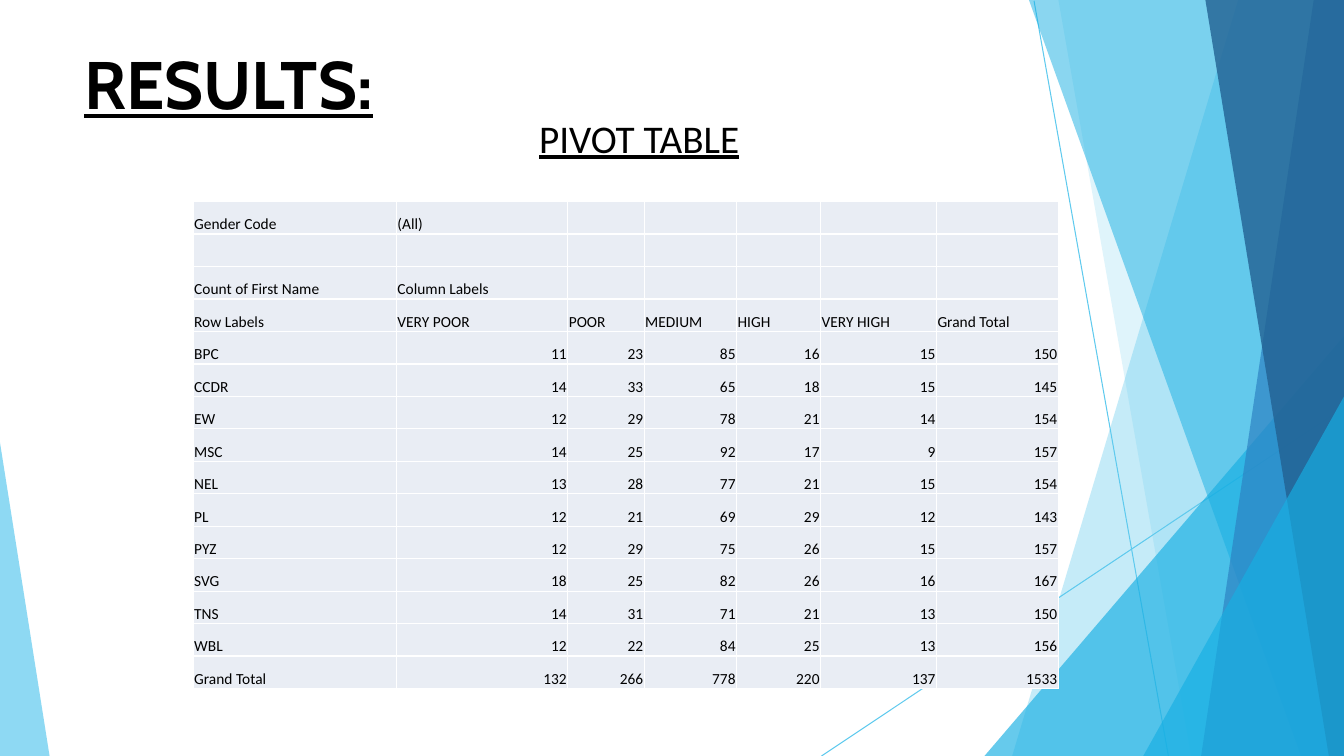
from dataclasses import dataclass

from lxml.etree import SubElement
from pptx import Presentation
from pptx.dml.color import RGBColor
from pptx.enum.shapes import MSO_CONNECTOR as Connector
from pptx.enum.text import MSO_ANCHOR as Anchor, MSO_AUTO_SIZE as AutoSize, PP_ALIGN as Align
from pptx.oxml.ns import qn
from pptx.util import Inches, Pt

# Grid: 160 columns by 90 rows of square units
COLUMNS, ROWS = 160, 90
UNIT = Inches(1) // 12

COLORS = {
    "text": "000000",
    "cell": "E9EDF4",
    "border": "FFFFFF",
    "sky": "5FCAEE",
    "cyan": "17AFE3",
    "blue": "2D83C3",
    "navy": "226192",
}
BODY_FONT, TITLE_FONT = "Calibri", "Cabin"

Point = tuple[float, float]


@dataclass(frozen=True)
class Wing:
    points: tuple[Point, ...]
    color: str
    opacity: int


@dataclass(frozen=True)
class Box:
    left: float
    top: float
    width: float
    height: float

    def emu(self) -> tuple[int, ...]:
        return tuple(grid(n) for n in (self.left, self.top, self.width, self.height))


def right_band(top: float, bottom: float, color: str, opacity: int) -> Wing:
    """Full-height band from a slanted left edge to the right side of the slide."""
    return Wing(((COLUMNS, 0), (top, 0), (bottom, ROWS), (COLUMNS, ROWS)), color, opacity)


def right_corner(top: float, left: float, color: str, opacity: int) -> Wing:
    """Triangle in the lower right corner."""
    return Wing(((COLUMNS, top), (left, ROWS), (COLUMNS, ROWS)), color, opacity)


RAYS = (((123.1, 0.1), (139.1, ROWS)), ((COLUMNS, 48.5), (97.8, ROWS)))
WINGS = (
    right_band(147.4, 120.5, "sky", 36),
    right_band(126, 141.8, "sky", 20),
    right_corner(40, 117.2, "cyan", 66),
    right_band(122.5, 154.9, "cyan", 50),
    right_band(156.4, 143, "blue", 70),
    right_band(143.5, 158.2, "navy", 80),
    right_corner(47.2, 136.1, "cyan", 66),
    Wing(((0, 52.7), (0, ROWS), (5.9, ROWS)), "sky", 70),
)

TITLE_BOX = Box(10, 5, 39, 10)
CAPTION_BOX = Box(63, 13, 26.5, 6.8)
TABLE_BOX = Box(23, 24, 103, 58)
COLUMN_WIDTHS = (24.2, 20.4, 9.1, 11, 10, 13.8, 14.5)

PIVOT = (
    ("Gender Code", "(All)"),
    (),
    ("Count of First Name", "Column Labels"),
    ("Row Labels", "VERY POOR", "POOR", "MEDIUM", "HIGH", "VERY HIGH", "Grand Total"),
    ("BPC", 11, 23, 85, 16, 15, 150),
    ("CCDR", 14, 33, 65, 18, 15, 145),
    ("EW", 12, 29, 78, 21, 14, 154),
    ("MSC", 14, 25, 92, 17, 9, 157),
    ("NEL", 13, 28, 77, 21, 15, 154),
    ("PL", 12, 21, 69, 29, 12, 143),
    ("PYZ", 12, 29, 75, 26, 15, 157),
    ("SVG", 18, 25, 82, 26, 16, 167),
    ("TNS", 14, 31, 71, 21, 13, 150),
    ("WBL", 12, 22, 84, 25, 13, 156),
    ("Grand Total", 132, 266, 778, 220, 137, 1533),
)


def grid(units: float) -> int:
    return round(units * UNIT)


def rgb(name: str) -> RGBColor:
    return RGBColor.from_string(COLORS[name])


def style_font(paragraph, name: str, size: float, bold: bool = False, underline: bool = False) -> None:
    font = paragraph.font
    font.name, font.size = name, Pt(size)
    font.bold, font.underline = bold, underline
    font.color.rgb = rgb("text")


def draw_ray(slide, start: Point, end: Point) -> None:
    ends = [grid(n) for n in start + end]
    ray = slide.shapes.add_connector(Connector.STRAIGHT, *ends)
    ray.line.color.rgb = rgb("sky")
    ray.line.width = Pt(0.75)
    SubElement(ray._element.spPr, qn("a:effectLst"))


def draw_wing(slide, wing: Wing) -> None:
    first, *others = [(grid(x), grid(y)) for x, y in wing.points]
    builder = slide.shapes.build_freeform(*first)
    builder.add_line_segments(others, close=True)
    shape = builder.convert_to_shape()
    shape.shadow.inherit = False
    shape.line.fill.background()
    shape.fill.solid()
    shape.fill.fore_color.rgb = rgb(wing.color)
    color = shape._element.spPr.find(qn("a:solidFill"))[0]
    SubElement(color, qn("a:alpha"), val=str(wing.opacity * 1000))


def draw_title(slide) -> None:
    title = slide.shapes.title
    title.left, title.top, title.width, title.height = TITLE_BOX.emu()
    frame = title.text_frame
    frame.text = "RESULTS:"
    frame.margin_left = frame.margin_right = frame.margin_top = frame.margin_bottom = 0
    frame.vertical_anchor = Anchor.TOP
    frame.auto_size = AutoSize.SHAPE_TO_FIT_TEXT
    paragraph = frame.paragraphs[0]
    paragraph.alignment = Align.LEFT
    style_font(paragraph, TITLE_FONT, 48, bold=True, underline=True)


def draw_caption(slide) -> None:
    frame = slide.shapes.add_textbox(*CAPTION_BOX.emu()).text_frame
    frame.text = "PIVOT TABLE"
    frame.word_wrap = False
    frame.auto_size = AutoSize.SHAPE_TO_FIT_TEXT
    style_font(frame.paragraphs[0], BODY_FONT, 28, underline=True)


def fill_cell(cell, value: str | int) -> None:
    cell.text = str(value)
    cell.vertical_anchor = Anchor.BOTTOM
    cell.margin_left = cell.margin_right = cell.margin_top = Inches(0.01)
    cell.margin_bottom = 0
    paragraph = cell.text_frame.paragraphs[0]
    paragraph.alignment = Align.RIGHT if isinstance(value, int) else Align.LEFT
    style_font(paragraph, BODY_FONT, 11)
    # Borders come before the fill in the cell properties
    properties = cell._tc.get_or_add_tcPr()
    for side in ("a:lnL", "a:lnR", "a:lnT", "a:lnB"):
        border = SubElement(properties, qn(side), w=str(Pt(1)))
        SubElement(SubElement(border, qn("a:solidFill")), qn("a:srgbClr"), val=COLORS["border"])
    cell.fill.solid()
    cell.fill.fore_color.rgb = rgb("cell")


def draw_pivot_table(slide) -> None:
    table = slide.shapes.add_table(len(PIVOT), len(COLUMN_WIDTHS), *TABLE_BOX.emu()).table
    table.first_row = table.horz_banding = False
    for column, width in zip(table.columns, COLUMN_WIDTHS):
        column.width = grid(width)
    for row, values in zip(table.rows, PIVOT):
        row.height = grid(TABLE_BOX.height / len(PIVOT))
        padding = ("",) * (len(COLUMN_WIDTHS) - len(values))
        for cell, value in zip(row.cells, values + padding):
            fill_cell(cell, value)


def main() -> None:
    presentation = Presentation()
    presentation.slide_width, presentation.slide_height = grid(COLUMNS), grid(ROWS)
    slide = presentation.slides.add_slide(presentation.slide_layouts.get_by_name("Title Only"))
    # Background decoration
    for start, end in RAYS:
        draw_ray(slide, start, end)
    for wing in WINGS:
        draw_wing(slide, wing)
    # Content
    draw_title(slide)
    draw_caption(slide)
    draw_pivot_table(slide)
    presentation.save("out.pptx")


if __name__ == "__main__":
    main()
